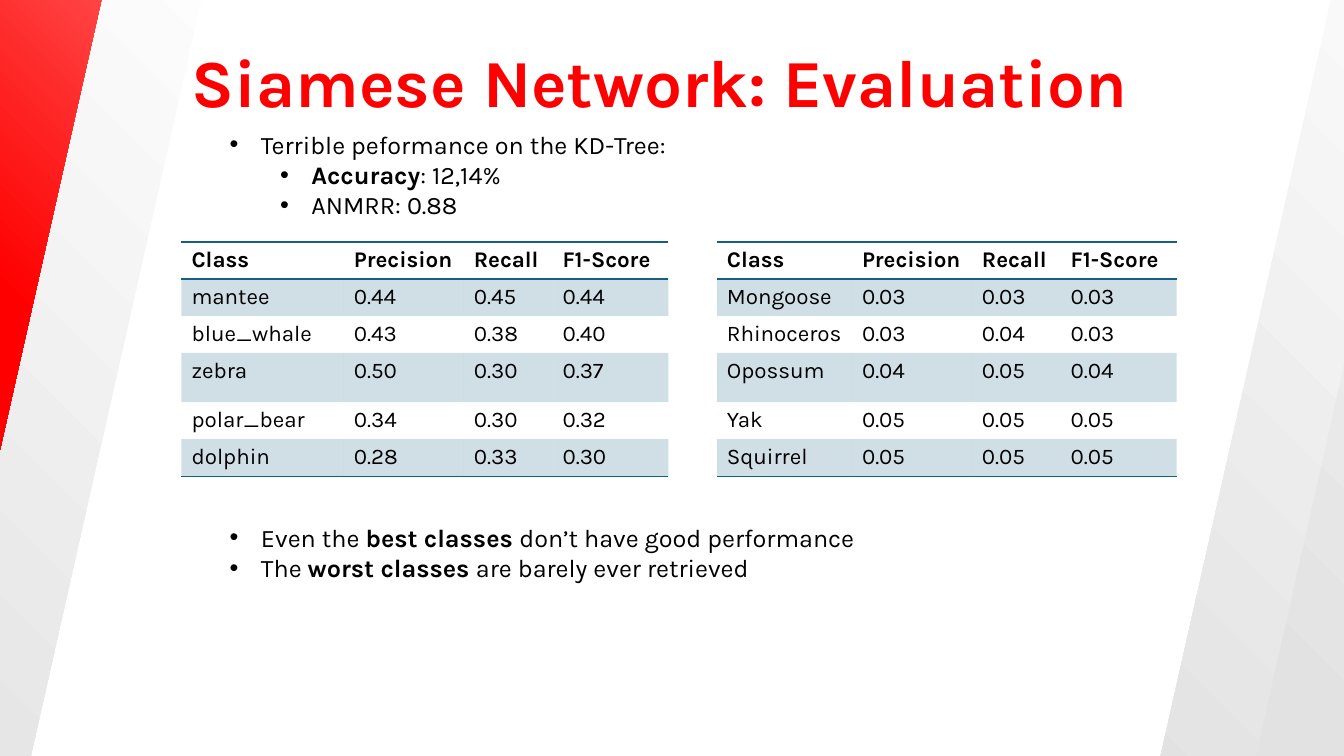
import dataclasses

import lxml.etree
import pptx
import pptx.dml.color
import pptx.enum.shapes
import pptx.enum.text
import pptx.oxml
import pptx.oxml.ns
import pptx.util

EMU_PER_PX = 9144  # 100 px to the inch


@dataclasses.dataclass(frozen=True)
class Theme:
    font: str = "Karla"
    title_size: int = 48
    body_size: int = 18
    table_size: int = 16
    title: str = "FF0000"
    ink: str = "000000"
    accent: str = "156082"
    band_alpha: int = 20
    gray_fade: tuple = ((0, "E2E2E2"), (100, "FFFFFF"))
    pale_fade: tuple = ((24, "E2E2E2"), (100, "F6F6F6"))
    red_fade: tuple = ((52, "FF0000"), (100, "FF6969"))


THEME = Theme()
NO_TABLE_STYLE = "{2D5ABB26-0587-4C30-8999-92F81FD0307C}"
ROW_HEIGHTS = (29, 29, 29, 49, 29, 29)
SCORE_WIDTHS = (119, 88, 115)
HEADINGS = ("Class", "Precision", "Recall", "F1-Score")
BEST_CLASSES = (
    ("mantee", "0.44", "0.45", "0.44"),
    ("blue_whale", "0.43", "0.38", "0.40"),
    ("zebra", "0.50", "0.30", "0.37"),
    ("polar_bear", "0.34", "0.30", "0.32"),
    ("dolphin", "0.28", "0.33", "0.30"),
)
WORST_CLASSES = (
    ("Mongoose", "0.03", "0.03", "0.03"),
    ("Rhinoceros", "0.03", "0.04", "0.03"),
    ("Opossum", "0.04", "0.05", "0.04"),
    ("Yak", "0.05", "0.05", "0.05"),
    ("Squirrel", "0.05", "0.05", "0.05"),
)
# Each bullet is a level and its (text, bold) pieces.
RESULTS = (
    (0, (("Terrible peformance on the KD-Tree:", False),)),
    (1, (("Accuracy", True), (": 12,14%", False))),
    (1, (("ANMRR: 0.88", False),)),
)
CONCLUSIONS = (
    (0, (("Even the ", False), ("best classes ", True),
         ("don’t have good performance", False))),
    (0, (("The ", False), ("worst classes ", True),
         ("are barely ever retrieved", False))),
)


def px(*lengths):
    return [pptx.util.Emu(length * EMU_PER_PX) for length in lengths]


def rgb(value):
    return pptx.dml.color.RGBColor.from_string(value)


def xml(markup):
    """Parse one element whose tags use the a: prefix."""
    tag, rest = markup[:-2].split(" ", 1)
    return pptx.oxml.parse_xml(f'{tag} {pptx.oxml.ns.nsdecls("a")} {rest}/>')


def set_all(target, values):
    for name, value in values.items():
        setattr(target, name, value)


def add_run(paragraph, text, size, bold=False, color=THEME.ink):
    run = paragraph.add_run()
    run.text = text
    set_all(run.font, {"name": THEME.font, "size": pptx.util.Pt(size), "bold": bold})
    run.font.color.rgb = rgb(color)


def add_stripe(slide, left, top, rotation, fade):
    """Add a slanted band with a radial fade from its lower left corner."""
    stripe = slide.shapes.add_shape(
        pptx.enum.shapes.MSO_SHAPE.RECTANGLE, *px(left, top, 121, 927))
    stripe.rotation = rotation
    stripe.shadow.inherit = False
    stripe.line.fill.background()
    stops = "".join(
        f'<a:gs pos="{position * 1000}"><a:srgbClr val="{color}"/></a:gs>'
        for position, color in fade)
    gradient = pptx.oxml.parse_xml(
        f'<a:gradFill {pptx.oxml.ns.nsdecls("a")} rotWithShape="1">'
        f'<a:gsLst>{stops}</a:gsLst><a:path path="circle">'
        '<a:fillToRect t="100000" r="100000"/></a:path></a:gradFill>')
    stripe.fill.background()
    properties = stripe.element.spPr
    properties.replace(properties.find(pptx.oxml.ns.qn("a:noFill")), gradient)


def add_text_frame(slide, left, top, width, height):
    frame = slide.shapes.add_textbox(*px(left, top, width, height)).text_frame
    frame.word_wrap = True
    return frame


def add_title(slide, text):
    frame = add_text_frame(slide, 180, 34, 1018, 91)
    frame.vertical_anchor = pptx.enum.text.MSO_ANCHOR.MIDDLE
    add_run(frame.paragraphs[0], text, THEME.title_size, True, THEME.title)


def add_bullets(slide, top, height, bullets):
    frame = add_text_frame(slide, 218, top, 1025, height)
    for index, (level, pieces) in enumerate(bullets):
        paragraph = frame.add_paragraph() if index else frame.paragraphs[0]
        paragraph.level = level
        properties = paragraph._p.get_or_add_pPr()
        indent, hanging = px(31 + 50 * level, -31)
        properties.set("marL", str(indent))
        properties.set("indent", str(hanging))
        properties.append(xml('<a:buFont typeface="Arial"/>'))
        properties.append(xml('<a:buChar char="•"/>'))
        for text, bold in pieces:
            add_run(paragraph, text, THEME.body_size, bold)


def add_rule(cell, side):
    """Draw a border on side T or B of a cell."""
    line = xml(f'<a:ln{side} w="12700"/>')
    fill = lxml.etree.SubElement(line, pptx.oxml.ns.qn("a:solidFill"))
    lxml.etree.SubElement(fill, pptx.oxml.ns.qn("a:srgbClr"), val=THEME.accent)
    cell._tc.get_or_add_tcPr().insert(0, line)


def shade(cell):
    cell.fill.solid()
    cell.fill.fore_color.rgb = rgb(THEME.accent)
    color = cell._tc.tcPr.find(".//" + pptx.oxml.ns.qn("a:srgbClr"))
    color.append(xml(f'<a:alpha val="{THEME.band_alpha * 1000}"/>'))


def add_score_table(slide, left, class_width, scores):
    rows = (HEADINGS, *scores)
    widths = (class_width, *SCORE_WIDTHS)
    table = slide.shapes.add_table(
        len(rows), len(widths),
        *px(left, 240, sum(widths), sum(ROW_HEIGHTS))).table
    table._tbl.tblPr.find(pptx.oxml.ns.qn("a:tableStyleId")).text = NO_TABLE_STYLE
    set_all(table, {"first_row": False, "horz_banding": False})
    for column, width in zip(table.columns, px(*widths)):
        column.width = width
    for row, height in zip(table.rows, px(*ROW_HEIGHTS)):
        row.height = height
    for row_index, row in enumerate(rows):
        for column_index, text in enumerate(row):
            cell = table.cell(row_index, column_index)
            add_run(cell.text_frame.paragraphs[0], text, THEME.table_size,
                    row_index == 0)
            if row_index % 2:
                shade(cell)
            else:
                cell.fill.background()
            if row_index in (0, len(rows) - 1):
                add_rule(cell, "B")
            if row_index == 0:
                add_rule(cell, "T")


def main():
    deck = pptx.Presentation()
    deck.slide_width, deck.slide_height = px(1333, 750)
    slide = deck.slides.add_slide(deck.slide_layouts[6])
    add_stripe(slide, -3, -108, 12.7, THEME.gray_fade)
    add_stripe(slide, 1246, -128, 192.7, THEME.gray_fade)
    add_stripe(slide, 1308, 17, 192.7, THEME.pale_fade)
    add_title(slide, "Siamese Network: Evaluation")
    add_bullets(slide, 123, 98, RESULTS)
    add_bullets(slide, 513, 69, CONCLUSIONS)
    add_score_table(slide, 180, 161, BEST_CLASSES)
    add_score_table(slide, 711, 134, WORST_CLASSES)
    add_stripe(slide, -86, -179, 12.7, THEME.red_fade)
    deck.save("out.pptx")


if __name__ == "__main__":
    main()
